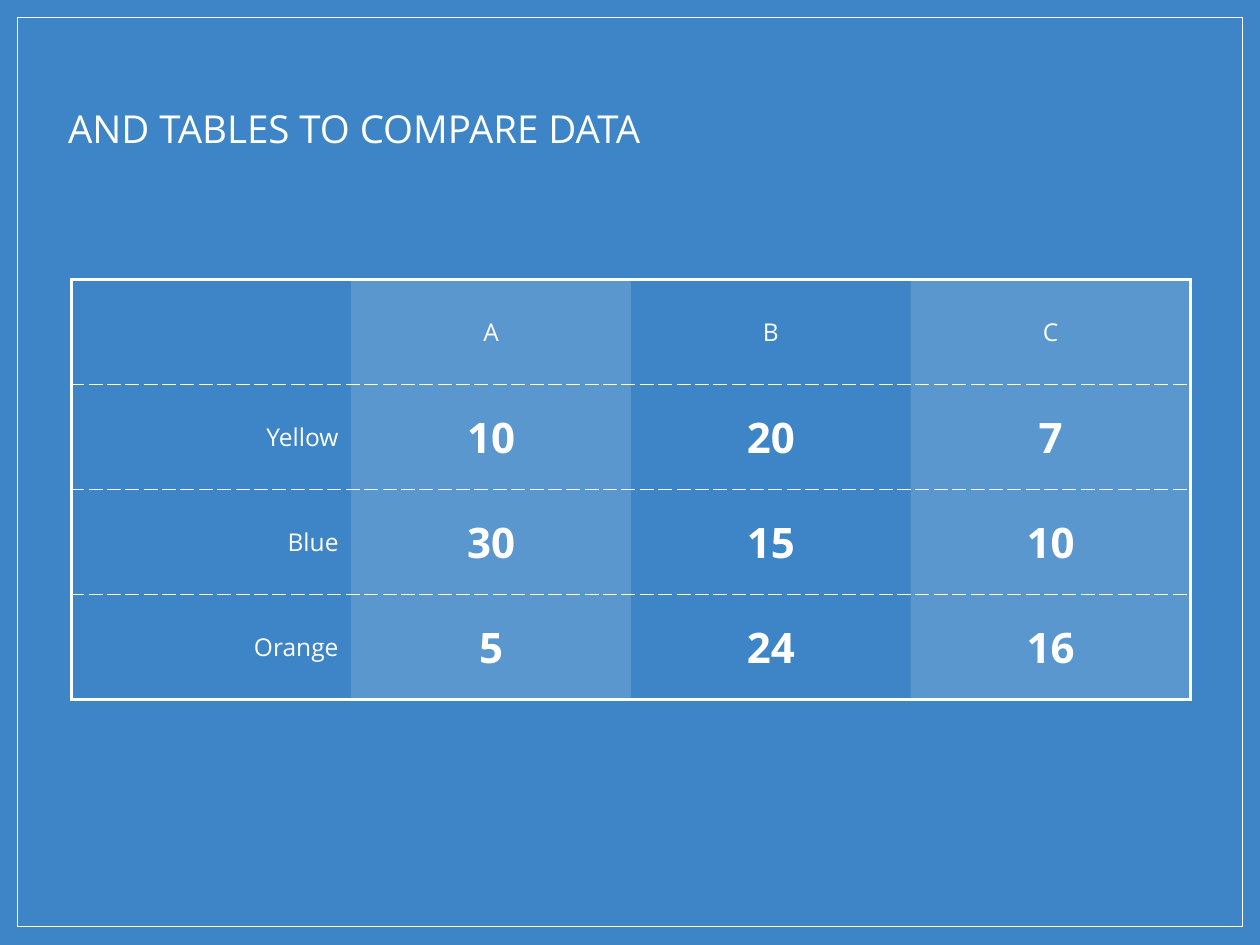
from lxml import etree
from pptx import Presentation
from pptx.dml.color import RGBColor
from pptx.enum.shapes import MSO_SHAPE
from pptx.enum.text import MSO_ANCHOR, PP_ALIGN
from pptx.oxml.ns import qn
from pptx.util import Pt

RECT = MSO_SHAPE.RECTANGLE
MIDDLE = MSO_ANCHOR.MIDDLE
LEFT, CENTER, RIGHT = PP_ALIGN.LEFT, PP_ALIGN.CENTER, PP_ALIGN.RIGHT

TITLE = "AND TABLES TO COMPARE DATA"
ROWS = [
    ("", "A", "B", "C"),
    ("Yellow", "10", "20", "7"),
    ("Blue", "30", "15", "10"),
    ("Orange", "5", "24", "16"),
]
COLORS = {"back": "3D85C6", "white": "FFFFFF"}
FONT = "Open Sans"
INSET = 7.2
COL_W, ROW_H = 159.9, 60
TABLE_X, TABLE_Y = 40.8, 159.8
BAND_ALPHA = 15
OUTER, INNER = (1.5, "solid"), (0.75, "dash")


def rgb(name):
    """Return a palette colour."""
    return RGBColor.from_string(COLORS[name])


def write(tf, text, size, align, bold=False):
    """Put one white run into a text frame."""
    p = tf.paragraphs[0]
    p.alignment = align
    r = p.add_run()
    r.text = text
    r.font.name = FONT
    r.font.size = Pt(size)
    r.font.bold = bold
    r.font.color.rgb = rgb("white")


def set_insets(box):
    """Give a cell or text frame equal margins and middle anchoring."""
    box.margin_left = box.margin_right = Pt(INSET)
    box.margin_top = box.margin_bottom = Pt(INSET)
    box.vertical_anchor = MIDDLE


def set_fill(cell, banded):
    """Fill a cell with translucent white, or leave it clear."""
    if not banded:
        cell.fill.background()
        return
    cell.fill.solid()
    cell.fill.fore_color.rgb = rgb("white")
    color = cell._tc.tcPr.find(qn("a:solidFill")).find(qn("a:srgbClr"))
    etree.SubElement(color, qn("a:alpha"), val=str(BAND_ALPHA * 1000))


def set_borders(cell, borders):
    """Add left, right, top and bottom borders ahead of the fill."""
    for i, (side, border) in enumerate(zip("LRTB", borders)):
        ln = etree.Element(qn("a:ln" + side))
        if border:
            width, dash = border
            ln.set("w", str(Pt(width)))
            fill = etree.SubElement(ln, qn("a:solidFill"))
            etree.SubElement(fill, qn("a:srgbClr"), val=COLORS["white"])
            etree.SubElement(ln, qn("a:prstDash"), val=dash)
        else:
            etree.SubElement(ln, qn("a:noFill"))
        cell._tc.tcPr.insert(i, ln)


def add_frame(s):
    """Draw the thin border around the slide."""
    sp = s.shapes.add_shape(RECT, Pt(10), Pt(10), Pt(700), Pt(519.4))
    sp.shadow.inherit = False
    sp.fill.background()
    sp.line.color.rgb = rgb("white")
    sp.line.width = Pt(0.75)


def add_title(s):
    """Place and format the title placeholder."""
    sp = s.shapes.title
    sp.left, sp.top, sp.width, sp.height = Pt(31.7), Pt(51.8), Pt(648), Pt(43.2)
    tf = sp.text_frame
    tf.word_wrap = True
    set_insets(tf)
    write(tf, TITLE, 22, LEFT)


def add_data_table(s):
    """Build the comparison table with its bands and borders."""
    n_rows, n_cols = len(ROWS), len(ROWS[0])
    table = s.shapes.add_table(n_rows, n_cols, Pt(TABLE_X), Pt(TABLE_Y),
                               Pt(COL_W * n_cols), Pt(ROW_H * n_rows)).table
    table.first_row = table.horz_banding = False
    for col in table.columns:
        col.width = Pt(COL_W)
    for i, row in enumerate(ROWS):
        table.rows[i].height = Pt(ROW_H)
        for j, text in enumerate(row):
            cell = table.cell(i, j)
            set_insets(cell)
            set_fill(cell, j % 2 == 1)
            set_borders(cell, (
                OUTER if j == 0 else None,
                OUTER if j == n_cols - 1 else None,
                OUTER if i == 0 else INNER,
                OUTER if i == n_rows - 1 else INNER,
            ))
            if text:
                is_value = i > 0 and j > 0
                write(cell.text_frame, text, 24 if is_value else 14,
                      CENTER if j else RIGHT, is_value)


prs = Presentation()
prs.slide_width, prs.slide_height = Pt(720), Pt(540)
s = prs.slides.add_slide(prs.slide_layouts[5])
s.background.fill.solid()
s.background.fill.fore_color.rgb = rgb("back")
add_frame(s)
add_title(s)
add_data_table(s)
prs.save("out.pptx")
